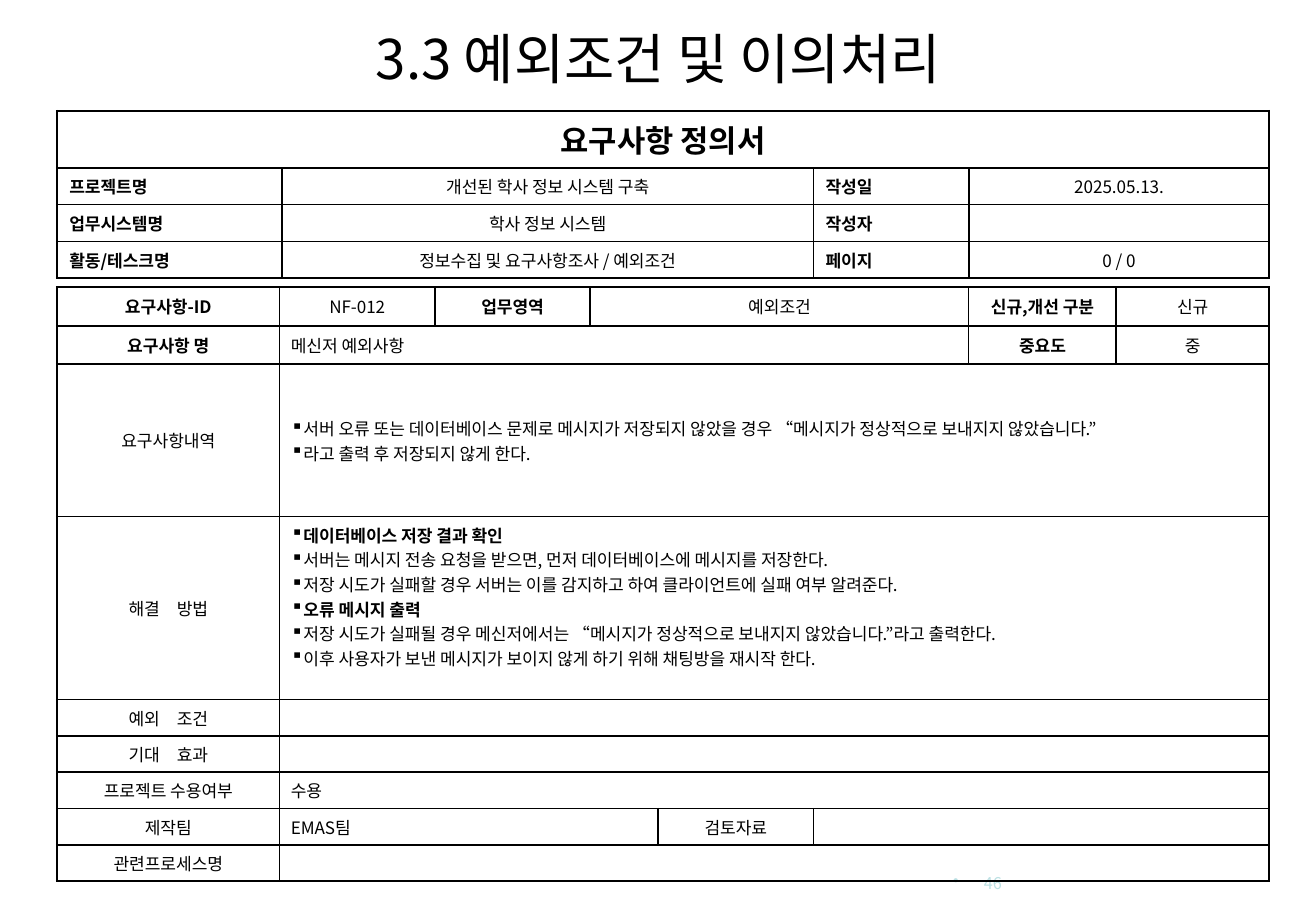
"""Build the exception-handling requirement slide with its two form tables."""
from lxml.etree import SubElement
from pptx import Presentation
from pptx.dml.color import RGBColor
from pptx.enum.text import MSO_ANCHOR as Anchor, PP_ALIGN as Align
from pptx.oxml.ns import qn
from pptx.util import Pt

FONT = "Noto Sans CJK KR"
BLACK = "000000"
THICK, THIN = 1.5, 1


def style_para(para, size, align, bold=False, color=BLACK, bullet=None):
    para.alignment = align
    if bullet:
        SubElement(para._p.get_or_add_pPr(), qn("a:buChar"), char=bullet)
    for span in para.runs:
        span.font.size, span.font.bold, span.font.name = Pt(size), bold, FONT
        span.font.color.rgb = RGBColor.from_string(color)
        SubElement(span._r.get_or_add_rPr(), qn("a:ea"), typeface=FONT)
    if not para.runs:
        para._p.get_or_add_endParaRPr().set("sz", str(size * 100))


def add_form(page, top, widths, heights, rows, inset, thick_rows=()):
    frame = page.shapes.add_table(len(heights), len(widths), Pt(33.4), Pt(top),
                                  Pt(sum(widths)), Pt(sum(heights)))
    table = frame.table
    table.first_row = table.horz_banding = False
    for column, width in zip(table.columns, widths):
        column.width = Pt(width)
    for row, height in zip(table.rows, heights):
        row.height = Pt(height)
    last_row, column_count = len(heights) - 1, len(widths)
    for r, row in enumerate(rows):
        c = 0
        for text, span_width, kind in row:
            cell = table.cell(r, c)
            end = c + span_width
            if span_width > 1:
                cell.merge(table.cell(r, end - 1))
            cell.margin_left = cell.margin_right = Pt(inset)
            cell.margin_top = cell.margin_bottom = Pt(3.6)
            cell.vertical_anchor = Anchor.TOP if kind == "steps" else Anchor.MIDDLE
            cell.text_frame.text = text
            for para in cell.text_frame.paragraphs:
                style_para(
                    para,
                    18 if kind == "banner" else 10,
                    Align.CENTER if kind in ("banner", "head", "value") else Align.LEFT,
                    kind in ("banner", "head", "label") or para.text in STEP_HEADINGS,
                    bullet="▪" if kind in ("list", "steps") else None,
                )
            borders = {
                "a:lnL": c == 0,
                "a:lnR": end == column_count,
                "a:lnT": r == 0 or r - 1 in thick_rows,
                "a:lnB": r == last_row or r in thick_rows,
            }
            for tag, thick in borders.items():
                line = SubElement(cell._tc.get_or_add_tcPr(), qn(tag),
                                  w=str(Pt(THICK if thick else THIN)))
                SubElement(SubElement(line, qn("a:solidFill")), qn("a:srgbClr"), val=BLACK)
            cell.fill.background()
            c = end


STEP_HEADINGS = ("데이터베이스 저장 결과 확인", "오류 메시지 출력")
DETAILS = "\n".join([
    "서버 오류 또는 데이터베이스 문제로 메시지가 저장되지 않았을 경우 “메시지가 정상적으로 보내지지 않았습니다.”",
    "라고 출력 후 저장되지 않게 한다.",
])
STEPS = "\n".join([
    STEP_HEADINGS[0],
    "서버는 메시지 전송 요청을 받으면, 먼저 데이터베이스에 메시지를 저장한다.",
    "저장 시도가 실패할 경우 서버는 이를 감지하고 하여 클라이언트에 실패 여부 알려준다.",
    STEP_HEADINGS[1],
    "저장 시도가 실패될 경우 메신저에서는 “메시지가 정상적으로 보내지지 않았습니다.”라고 출력한다.",
    "이후 사용자가 보낸 메시지가 보이지 않게 하기 위해 채팅방을 재시작 한다.",
])
HEADER_ROWS = [
    [("요구사항 정의서", 4, "banner")],
    [("프로젝트명", 1, "label"), ("개선된 학사 정보 시스템 구축", 1, "value"),
     ("작성일", 1, "label"), ("2025.05.13.", 1, "value")],
    [("업무시스템명", 1, "label"), ("학사 정보 시스템", 1, "value"),
     ("작성자", 1, "label"), ("", 1, "value")],
    [("활동/테스크명", 1, "label"), ("정보수집 및 요구사항조사 / 예외조건", 1, "value"),
     ("페이지", 1, "label"), ("0 / 0", 1, "value")],
]
REQUIREMENT_ROWS = [
    [("요구사항-ID", 1, "head"), ("NF-012", 1, "value"), ("업무영역", 1, "head"),
     ("예외조건", 3, "value"), ("신규,개선 구분", 1, "head"), ("신규", 1, "value")],
    [("요구사항 명", 1, "head"), ("메신저 예외사항", 5, "text"),
     ("중요도", 1, "head"), ("중", 1, "value")],
    [("요구사항내역", 1, "value"), (DETAILS, 7, "list")],
    [("해결　방법", 1, "value"), (STEPS, 7, "steps")],
    [("예외　조건", 1, "value"), ("", 7, "text")],
    [("기대　효과", 1, "value"), ("", 7, "text")],
    [("프로젝트 수용여부", 1, "value"), ("수용", 7, "text")],
    [("제작팀", 1, "value"), ("EMAS팀", 3, "text"),
     ("검토자료", 1, "value"), ("", 3, "text")],
    [("관련프로세스명", 1, "value"), ("", 7, "text")],
]

deck = Presentation()
deck.slide_width, deck.slide_height = Pt(771), Pt(540)
page = deck.slides.add_slide(deck.slide_layouts[5])

title = page.shapes.title
title.left, title.top, title.width, title.height = Pt(164), Pt(13.7), Pt(443.5), Pt(39.6)
title.text_frame.text = "3.3 예외조건 및 이의처리"
title.text_frame.vertical_anchor = Anchor.MIDDLE
style_para(title.text_frame.paragraphs[0], 32, Align.CENTER)

number_box = page.shapes.add_textbox(Pt(550), Pt(502), Pt(44), Pt(30))
number_box.text_frame.word_wrap = True
number_box.text_frame.vertical_anchor = Anchor.MIDDLE
number_box.text_frame.text = "46"
number = number_box.text_frame.paragraphs[0]
style_para(number, 9.5, Align.RIGHT, color="BBE0E3", bullet="•")
number._p.pPr.set("marL", str(Pt(18)))
number._p.pPr.set("indent", str(-Pt(18)))

add_form(page, 168.2, [130.4, 91, 91, 39.8, 91, 91, 86.4, 89.6],
         [22.6, 22.6, 89.1, 107.2] + [21.3] * 5, REQUIREMENT_ROWS, 6.6, thick_rows=(0, 1))
add_form(page, 65, [131.8, 311.3, 91.2, 175.9], [33.4] + [21.5] * 3, HEADER_ROWS, 7.2)

deck.save("out.pptx")
